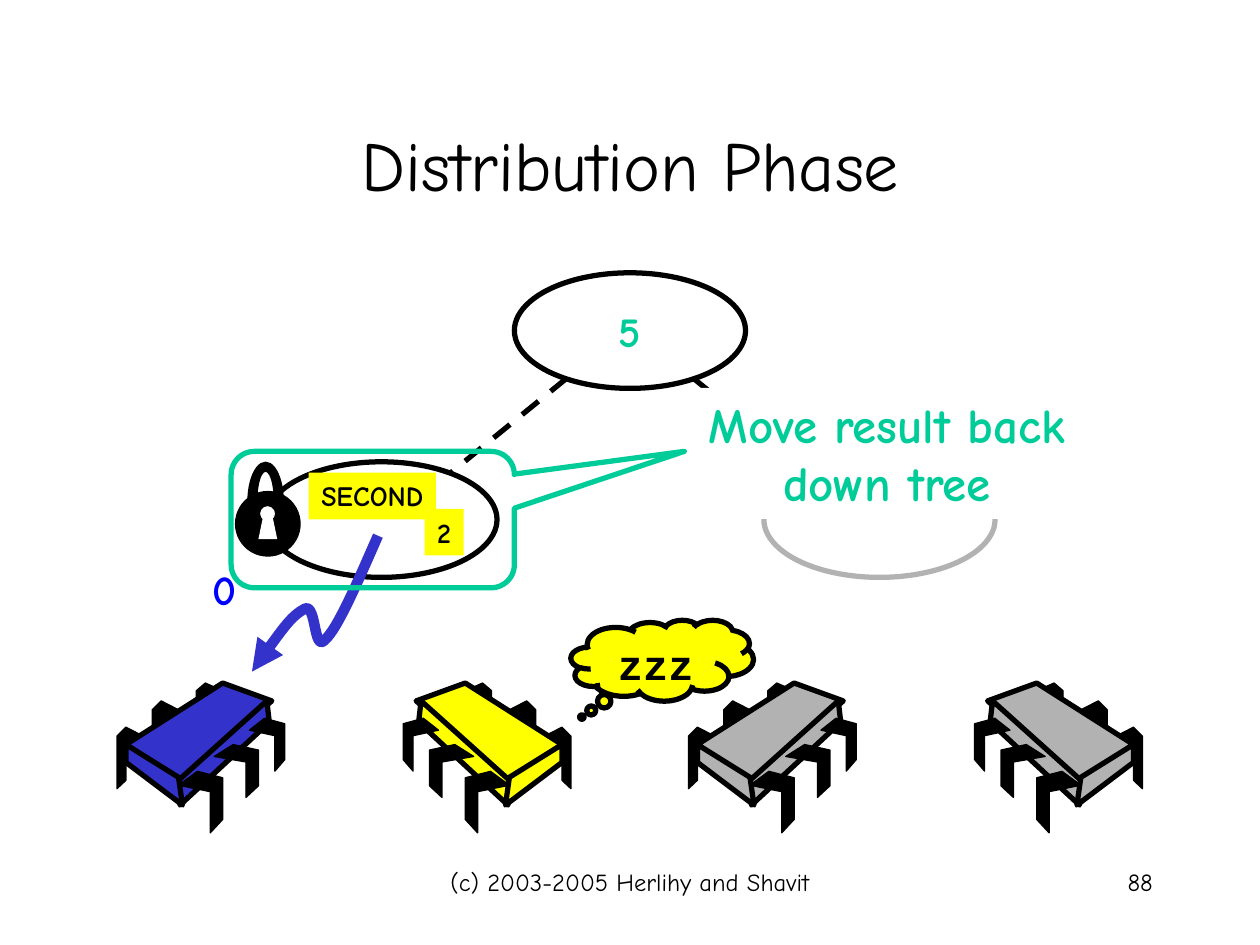
from pptx import Presentation
from pptx.dml.color import RGBColor
from pptx.enum.dml import MSO_LINE
from pptx.enum.shapes import MSO_CONNECTOR, MSO_SHAPE as SHAPE
from pptx.enum.text import MSO_ANCHOR as ANCHOR, PP_ALIGN as ALIGN
from pptx.oxml.ns import qn
from pptx.util import Cm, Pt
from lxml.etree import SubElement

COLORS = {"black": "000000", "white": "FFFFFF", "gray": "B2B2B2", "yellow": "FFFF00",
          "chip blue": "3333CC", "blue": "0000FF", "green": "00CC99"}
FONT = "Comic Neue"

CHIP_LEFT, CHIP_TOP, CHIP_WIDTH, CHIP_PITCH = 2.36, 13.77, 3.39, 5.76
BACK_LEG = [(0.53, 0.18), (0.18, 0), (0, 0.18), (0, 1.24),
            (0.18, 1.07), (0.18, 0.36), (0.53, 0.53)]
FRONT_LEG = [(0.38, 0), (0, 0.28), (0.64, 0.41), (0.64, 1.24), (0.89, 0.97), (0.89, 0.13)]
# Each leg: left, top, horizontal scale, vertical scale
BACK_LEGS = [(0, 0.89, 1, 1), (0.71, 0.36, 1, 1), (1.6, 0, 1, 0.86)]
FRONT_LEGS = [(1.24, 1.78, 1, 1), (1.96, 1.24, 1, 0.86), (2.67, 0.71, 0.8, 0.86)]
CHIP_FACES = [
    [(2.13, 0), (0.18, 1.24), (1.27, 1.98), (3.12, 0.36)],
    [(3.02, 0.36), (1.24, 1.96), (1.27, 2.46), (3.07, 0.79)],
    [(0.18, 1.24), (0.18, 1.6), (1.32, 2.46), (1.24, 1.9)],
]
RESULT_CURVE = [(5.08, 13.54), (5.49, 12.95), (5.89, 12.4), (6.15, 12.27), (6.38, 12.17),
                (6.32, 13.16), (6.55, 12.9), (6.81, 12.67), (7.21, 11.73), (7.62, 10.8)]


def rgb(name):
    return RGBColor.from_string(COLORS[name])


def paint(shape, fill=None, line=None, width=3.0):
    shape.shadow.inherit = False
    if fill:
        shape.fill.solid()
        shape.fill.fore_color.rgb = rgb(fill)
    else:
        shape.fill.background()
    if line:
        shape.line.color.rgb = rgb(line)
        shape.line.width = Pt(width)
    else:
        shape.line.fill.background()


def write(shape, text, size, color="black", bold=False, align=ALIGN.CENTER,
          anchor=ANCHOR.TOP, wrap=True, font=FONT):
    frame = shape.text_frame
    frame.text = text
    frame.word_wrap = wrap
    frame.vertical_anchor = anchor
    paragraph = frame.paragraphs[0]
    paragraph.alignment = align
    for run in paragraph.runs:
        run.font.name = font
        run.font.size = Pt(size)
        run.font.bold = bold
        run.font.color.rgb = rgb(color)


def add_figure(shapes, kind, box, fill=None, line=None, width=3.0, adjust=()):
    figure = shapes.add_shape(kind, *map(Cm, box))
    for index, value in enumerate(adjust):
        figure.adjustments[index] = value
    paint(figure, fill, line, width)
    return figure


def add_label(shapes, box, text, size, **style):
    write(shapes.add_textbox(*map(Cm, box)), text, size, **style)


def add_outline(shapes, points, fill=None, line=None, width=3.0, close=True):
    start, *rest = [(Cm(x), Cm(y)) for x, y in points]
    builder = shapes.build_freeform(*start)
    builder.add_line_segments(rest, close=close)
    outline = builder.convert_to_shape()
    paint(outline, fill, line, width)
    return outline


def add_curved_arrow(shapes, points, color, width):
    """Bezier curve through every third point, with an arrowhead at its start."""
    arrow = add_outline(shapes, points, line=color, width=width, close=False)
    segments = list(arrow.element.iter(qn("a:lnTo")))
    outline = segments[0].getparent()
    for first in range(0, len(segments), 3):
        curve = SubElement(outline, qn("a:cubicBezTo"))
        for segment in segments[first:first + 3]:
            curve.append(segment[0])
            outline.remove(segment)
    SubElement(arrow.line._get_or_add_ln(), qn("a:headEnd"), type="triangle")


def add_tree_edge(shapes, side):
    """Dashed edge from the root to the child on the given side (-1 left, 1 right)."""
    middle = 12.7
    edge = shapes.add_connector(MSO_CONNECTOR.STRAIGHT, Cm(middle + side * 1.27), Cm(7.62),
                                Cm(middle + side * 3.6), Cm(9.52))
    edge.line.color.rgb = rgb("black")
    edge.line.width = Pt(3)
    edge.line.dash_style = MSO_LINE.DASH
    SubElement(edge.element.spPr, qn("a:effectLst"))


def add_chip(shapes, position, color):
    """Processor chip; every second one is mirrored."""
    chip = shapes.add_group_shape().shapes
    left = CHIP_LEFT + position * CHIP_PITCH

    def place(points):
        if position % 2:
            points = [(CHIP_WIDTH - x, y) for x, y in points]
        return [(left + x, CHIP_TOP + y) for x, y in points]

    def add_legs(leg, spots):
        for dx, dy, wide, high in spots:
            points = [(dx + x * wide, dy + y * high) for x, y in leg]
            add_outline(chip, place(points), "black", "black", 0.75)

    add_legs(BACK_LEG, BACK_LEGS)
    for face in CHIP_FACES:
        add_outline(chip, place(face), color, "black")
    add_legs(FRONT_LEG, FRONT_LEGS)


def add_lock(shapes):
    lock = shapes.add_group_shape().shapes
    add_figure(lock, SHAPE.OVAL, (4.75, 9.91, 1.3, 1.3), "black", "black", 0.75)
    add_figure(lock, SHAPE.OVAL, (5.23, 10.19, 0.33, 0.33), "white", "black", 0.75)
    add_outline(lock, [(5.21, 10.87), (5.59, 10.87), (5.49, 10.39), (5.31, 10.39)], "white")
    add_figure(lock, SHAPE.BLOCK_ARC, (5, 9.32, 0.71, 1.57), "black", "black", 0.75,
               (108, 0, 0.25))


def add_tag(shapes, box, text):
    tag = add_figure(shapes, SHAPE.RECTANGLE, box, "yellow")
    write(tag, text, 16, bold=True, wrap=False)


def main():
    deck = Presentation()
    deck.slide_width, deck.slide_height = Cm(25.4), Cm(19.05)
    slide = deck.slides.add_slide(deck.slide_layouts[5])
    shapes = slide.shapes

    title = shapes.title
    title.left, title.top, title.width, title.height = map(Cm, (1.91, 1.7, 21.59, 3.18))
    write(title, "Distribution Phase", 40, anchor=ANCHOR.MIDDLE)

    root, _, _ = [
        add_figure(shapes, SHAPE.OVAL, (left, top, 4.66, 2.33), fill, line)
        for left, top, fill, line in [(10.37, 5.5, None, "black"),
                                      (15.4, 9.31, "white", "gray"),
                                      (5.36, 9.31, None, "black")]]
    write(root, "5", 24, "green", True, anchor=ANCHOR.MIDDLE, wrap=False)

    add_chip(shapes, 0, "chip blue")
    add_chip(shapes, 1, "yellow")
    add_curved_arrow(shapes, RESULT_CURVE, "chip blue", 6)
    add_label(shapes, (4.04, 11.23, 0.99, 1.27), "0", 24, color="blue", bold=True, wrap=False)
    for side in (-1, 1):
        add_tree_edge(shapes, side)
    for position in (2, 3):
        add_chip(shapes, position, "gray")

    snore = add_figure(shapes, SHAPE.CLOUD_CALLOUT, (11.51, 12.5, 3.68, 1.63),
                       "yellow", "black", adjust=(-0.44, 0.7))
    write(snore, "zzz", 24, bold=True, font="Courier New")
    remark = add_figure(shapes, SHAPE.RECTANGLE, (13.74, 7.82, 8.28, 2.64), "white")
    write(remark, "Move result back down tree", 28, "green", True)
    add_figure(shapes, SHAPE.ROUNDED_RECTANGULAR_CALLOUT, (4.66, 9.1, 5.71, 2.75),
               line="green", adjust=(1.1, -0.5, 0.17))

    add_tag(shapes, (6.22, 9.53, 2.57, 0.94), "SECOND")
    add_lock(shapes)
    add_tag(shapes, (8.56, 10.26, 0.79, 0.94), "2")

    add_label(shapes, (8.68, 17.36, 8.04, 1.27), "(c) 2003-2005 Herlihy and Shavit", 14)
    add_label(shapes, (18.2, 17.36, 5.29, 1.27), "88", 14, align=ALIGN.RIGHT)
    deck.save("out.pptx")


if __name__ == "__main__":
    main()
